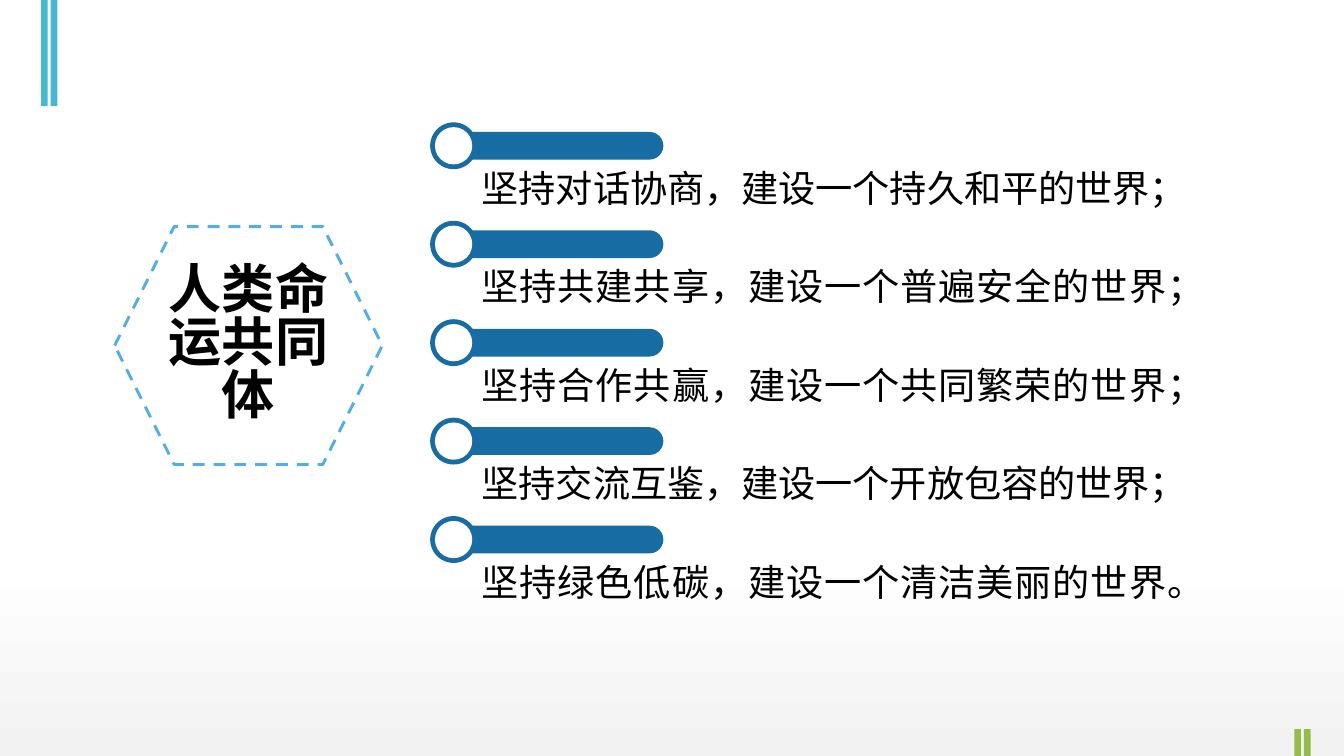
"""Build the slide on the five aims of a shared future for mankind."""
import pptx
import pptx.util
import pptx.dml.color
import pptx.enum.dml
import pptx.enum.lang
import pptx.enum.shapes
import pptx.enum.text
import lxml.etree

Inches = pptx.util.Inches
RGBColor = pptx.dml.color.RGBColor
SHAPE = pptx.enum.shapes.MSO_SHAPE
ALIGN = pptx.enum.text.PP_ALIGN

TITLE = "人类命运共同体"
AIMS = [
    ("坚持对话协商，建设一个持久和平的世界；", 7.61),
    ("坚持共建共享，建设一个普遍安全的世界；", 7.37),
    ("坚持合作共赢，建设一个共同繁荣的世界；", 7.37),
    ("坚持交流互鉴，建设一个开放包容的世界；", 7.61),
    ("坚持绿色低碳，建设一个清洁美丽的世界。", 7.37),
]
FONT = "Noto Sans CJK SC"
BLACK = RGBColor(0x00, 0x00, 0x00)
WHITE = RGBColor(0xFF, 0xFF, 0xFF)
GRAY = RGBColor(0xF2, 0xF2, 0xF2)
BLUE = RGBColor(0x16, 0x6C, 0xA3)
SKY = RGBColor(0x53, 0xAE, 0xE8)
TEAL = RGBColor(0x46, 0xB9, 0xD0)
GREEN = RGBColor(0x95, 0xBC, 0x49)
WIDTH, HEIGHT = 14.06, 7.91
FIRST_TOP, ROW_PITCH = 1.28, 1.03
RING_LEFT, RING_SIZE, RING_BORDER = 4.5, 0.49, 0.05
STRIPES = [(0.43, 0, 1.11, TEAL), (13.54, 7.63, 0.28, GREEN)]
STRIPE_WIDTH, STRIPE_PITCH = 0.07, 0.1

presentation = pptx.Presentation()
presentation.slide_width = Inches(WIDTH)
presentation.slide_height = Inches(HEIGHT)
slide = presentation.slides.add_slide(presentation.slide_layouts[6])


def add_shape(kind, left, top, width, height, color):
    """Add a flat, unlined shape."""
    shape = slide.shapes.add_shape(
        kind, Inches(left), Inches(top), Inches(width), Inches(height))
    shape.shadow.inherit = False
    shape.fill.solid()
    shape.fill.fore_color.rgb = color
    shape.line.fill.background()
    return shape


def write(shape, text, size, alignment, spacing, bold=False):
    """Put one formatted paragraph into a shape."""
    frame = shape.text_frame
    frame.text = text
    frame.word_wrap = True
    frame.vertical_anchor = pptx.enum.text.MSO_ANCHOR.MIDDLE
    paragraph = frame.paragraphs[0]
    paragraph.alignment = alignment
    paragraph.line_spacing = spacing
    run = paragraph.runs[0]
    font = run.font
    font.size = pptx.util.Pt(size)
    font.bold = bold
    font.color.rgb = BLACK
    font.name = FONT
    font.language_id = pptx.enum.lang.MSO_LANGUAGE_ID.SIMPLIFIED_CHINESE
    properties = run.font._element
    east_asian = lxml.etree.SubElement(properties, pptx.oxml.ns.qn("a:ea"))
    east_asian.set("typeface", FONT)


background = add_shape(SHAPE.RECTANGLE, 0, 0, WIDTH, HEIGHT, WHITE)
background.fill.gradient()
background.fill.gradient_angle = 90
for stop, (position, color) in zip(background.fill.gradient_stops,
                                   [(0, GRAY), (0.26, WHITE)]):
    stop.position = position
    stop.color.rgb = color

for left, top, height, color in STRIPES:
    for index in range(2):
        add_shape(SHAPE.RECTANGLE, left + index * STRIPE_PITCH, top,
                  STRIPE_WIDTH, height, color)

hexagon = add_shape(SHAPE.HEXAGON, 1.2, 2.37, 2.8, 2.49, WHITE)
hexagon.line.color.rgb = SKY
hexagon.line.width = pptx.util.Pt(2.25)
hexagon.line.dash_style = pptx.enum.dml.MSO_LINE.DASH
write(hexagon, TITLE, 40, ALIGN.CENTER, 0.83, bold=True)

for row, (aim, text_width) in enumerate(AIMS):
    top = FIRST_TOP + row * ROW_PITCH
    bar = add_shape(SHAPE.ROUNDED_RECTANGLE, 4.67, top + 0.1, 2.27, 0.29, BLUE)
    bar.adjustments[0] = 0.5
    for inset, color in [(0, BLUE), (RING_BORDER, WHITE)]:
        size = RING_SIZE - 2 * inset
        add_shape(SHAPE.OVAL, RING_LEFT + inset, top + inset, size, size, color)
    label = slide.shapes.add_textbox(
        Inches(4.94), Inches(top + 0.28), Inches(text_width), Inches(0.69))
    write(label, aim, 28, ALIGN.JUSTIFY, 1.25)
    label.text_frame.auto_size = pptx.enum.text.MSO_AUTO_SIZE.SHAPE_TO_FIT_TEXT

presentation.save("out.pptx")
